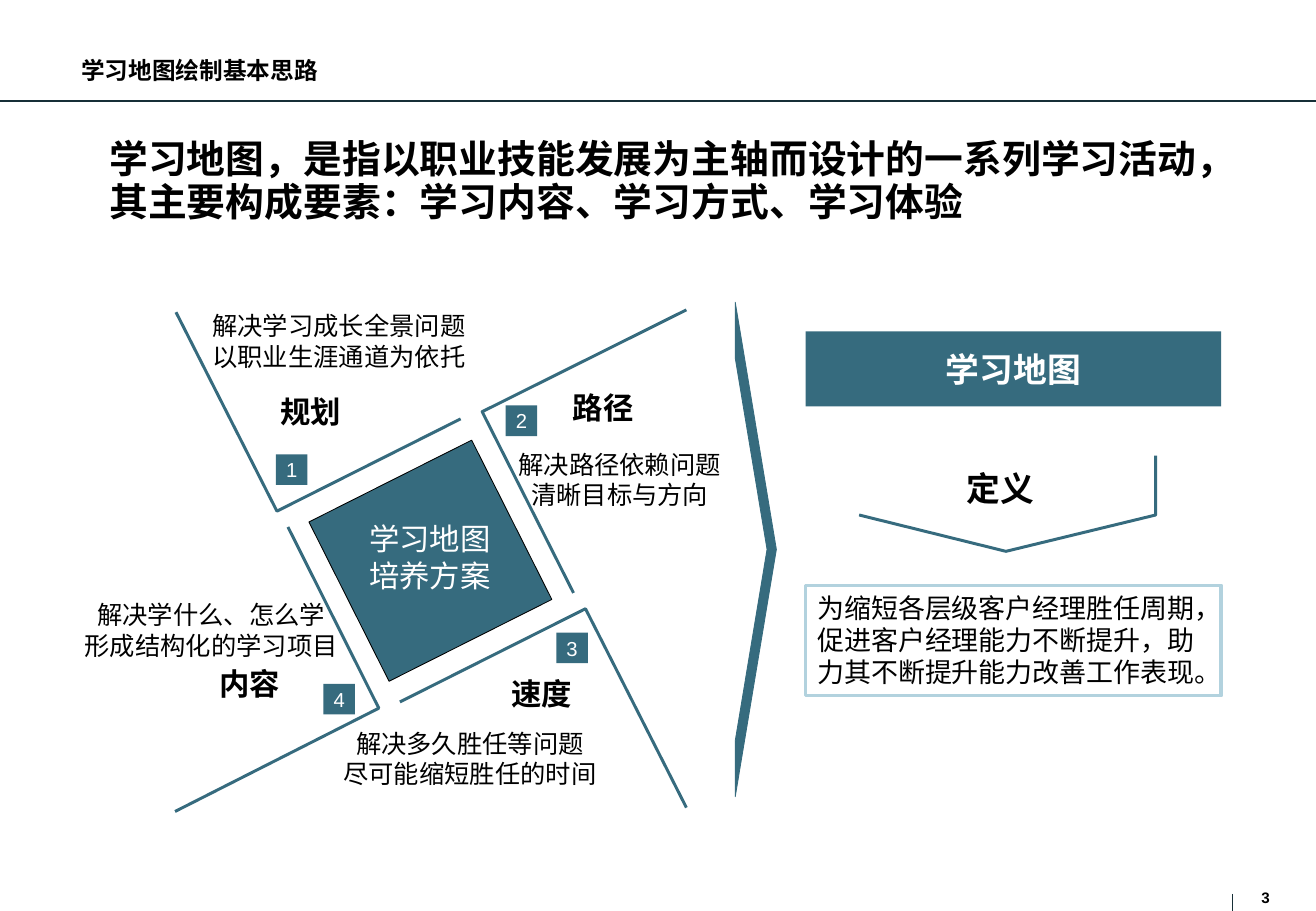
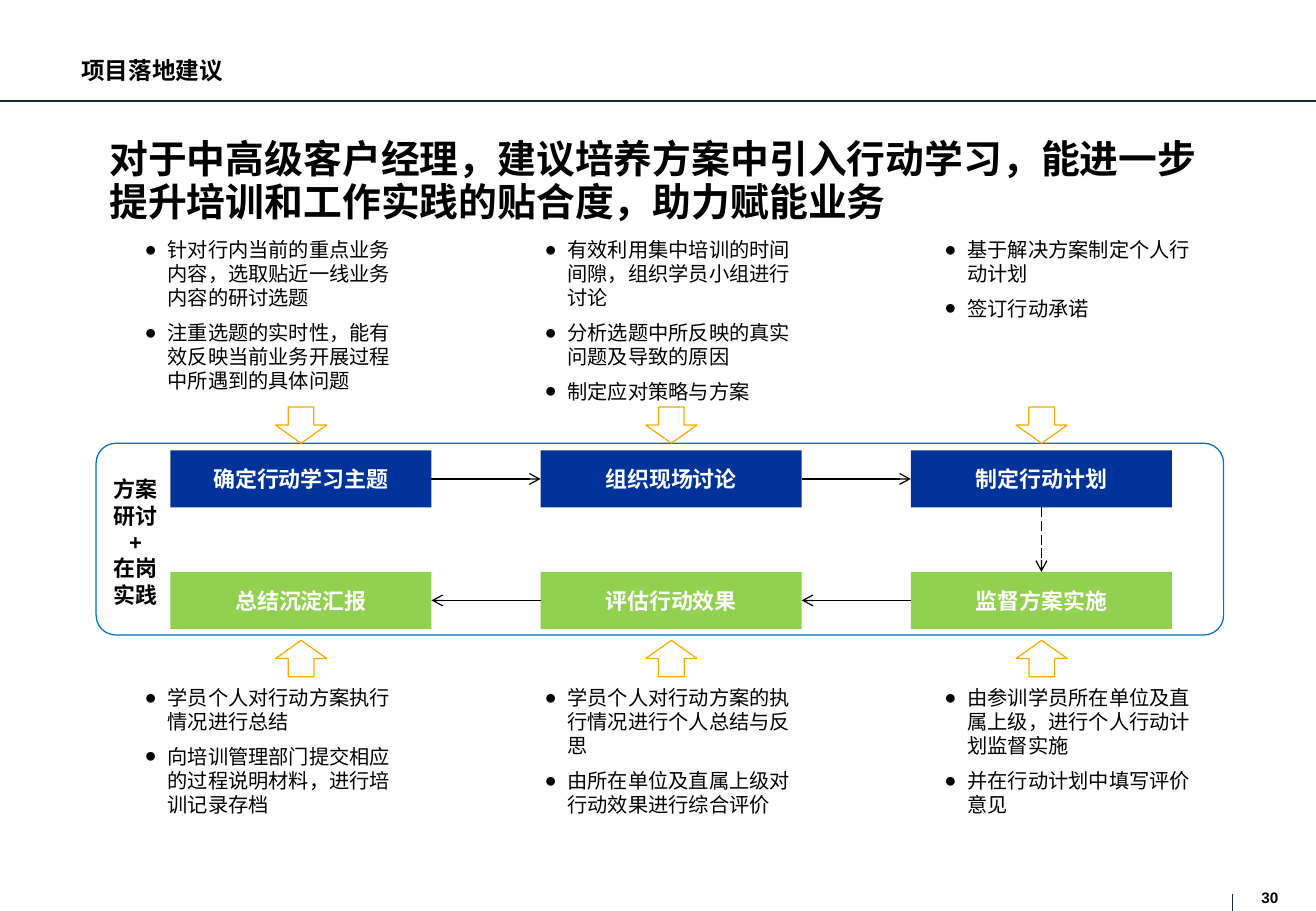
"""Builds two slides on learning maps and how to put them into practice."""
from copy import deepcopy
from dataclasses import dataclass

from lxml import etree
from pptx import Presentation
from pptx.dml.color import RGBColor
from pptx.enum import dml, shapes as kinds, text as txt
from pptx.oxml.ns import qn
from pptx.util import Cm, Pt

SANS, CJK = "Arial", "Noto Sans CJK SC"
BLACK, WHITE, INK = "000000", "FFFFFF", "172F37"
TEAL, PALE, NAVY = "366B7E", "B2D2DE", "00339A"
GREEN, AMBER, BLUE = "92D050", "FFAA00", "0070C0"
LEFT, CENTER = txt.PP_ALIGN.LEFT, txt.PP_ALIGN.CENTER
TOP, MIDDLE = txt.MSO_ANCHOR.TOP, txt.MSO_ANCHOR.MIDDLE
RECT = kinds.MSO_SHAPE.RECTANGLE


@dataclass(frozen=True)
class Box:
    """A place on the slide in centimetres."""
    left: float
    top: float
    width: float
    height: float

    def emu(self) -> tuple:
        """Return the four lengths for python-pptx."""
        return Cm(self.left), Cm(self.top), Cm(self.width), Cm(self.height)


@dataclass(frozen=True)
class Style:
    """How a block of text looks."""
    size: float
    bold: bool = False
    color: str = BLACK
    font: str = SANS
    align: int = LEFT
    anchor: int = MIDDLE
    padded: bool = False
    leading: float = 1.2
    bullet: bool = False


@dataclass(frozen=True)
class Element:
    """One arm of the pinwheel with its number, heading and caption."""
    heading: str
    caption: tuple
    heading_at: tuple
    caption_box: Box
    badge_at: tuple
    arm: tuple


@dataclass(frozen=True)
class Step:
    """One step of the process with its remarks."""
    label: str
    remarks: tuple


@dataclass(frozen=True)
class Row:
    """One row of steps."""
    steps: tuple
    fill: str
    top: float
    arrow_top: float
    remarks_top: float
    turn: int


TITLE = Style(23, True, font=CJK, anchor=TOP, padded=True, leading=1.11)
TOPIC = Style(14, True, font=CJK, padded=True)
PAGE = Style(9, True, anchor=TOP)
CAPTION = Style(15, align=CENTER)
HEADING = Style(18, True, align=CENTER)
BADGE = Style(12, color=WHITE, align=CENTER)
CORE = Style(18, color=WHITE, font=CJK, align=CENTER)
BANNER = Style(20, True, WHITE, CJK, CENTER)
DEFINITION = Style(20, True, anchor=TOP, padded=True)
MEANING = Style(16, anchor=TOP, padded=True)
STEP = Style(13, True, WHITE, align=CENTER)
SIDE = Style(13, True, align=CENTER, anchor=TOP, padded=True)
REMARKS = Style(12, anchor=TOP, padded=True, bullet=True)

ELEMENTS = (
    Element("规划", ("解决学习成长全景问题", "以职业生涯通道为依托"), (5.84, 8.23),
            Box(4.42, 6.48, 5.33, 1.3), (5.77, 9.5),
            ((9.63, 8.76), (5.79, 10.69), (3.68, 6.53))),
    Element("路径", ("解决路径依赖问题", "清晰目标与方向"), (11.96, 8.13),
            Box(10.82, 9.37, 4.27, 1.3), (10.57, 8.48),
            ((14.35, 6.48), (10.08, 8.61), (11.99, 12.4))),
    Element("速度", ("解决多久胜任等问题", "尽可能缩短胜任的时间"), (10.67, 14.12),
            Box(7.16, 15.21, 5.33, 1.3), (11.63, 13.23),
            ((14.35, 16.89), (12.24, 12.73), (8.36, 14.68))),
    Element("内容", ("解决学什么、怎么学", "形成结构化的学习项目"), (4.57, 13.92),
            Box(1.75, 12.52, 5.33, 1.3), (6.76, 14.3),
            ((3.66, 16.97), (7.92, 14.81), (6.02, 11.02))),
)
ROWS = (
    Row((
        Step("确定行动学习主题", ("针对行内当前的重点业务内容，选取贴近一线业务内容的研讨选题",
                          "注重选题的实时性，能有效反映当前业务开展过程中所遇到的具体问题")),
        Step("组织现场讨论", ("有效利用集中培训的时间间隙，组织学员小组进行讨论",
                        "分析选题中所反映的真实问题及导致的原因", "制定应对策略与方案")),
        Step("制定行动计划", ("基于解决方案制定个人行动计划", "签订行动承诺")),
    ), NAVY, 9.42, 8.51, 4.83, 0),
    Row((
        Step("总结沉淀汇报", ("学员个人对行动方案执行情况进行总结",
                        "向培训管理部门提交相应的过程说明材料，进行培训记录存档")),
        Step("评估行动效果", ("学员个人对行动方案的执行情况进行个人总结与反思",
                        "由所在单位及直属上级对行动效果进行综合评价")),
        Step("监督方案实施", ("由参训学员所在单位及直属上级，进行个人行动计划监督实施",
                        "并在行动计划中填写评价意见")),
    ), GREEN, 11.96, 13.39, 14.2, 180),
)


def rgb(value: str) -> RGBColor:
    """Turn a hex string into a colour."""
    return RGBColor.from_string(value)


def write(shape, lines: tuple, style: Style) -> None:
    """Fill a shape with one styled paragraph per line."""
    frame = shape.text_frame
    frame.word_wrap = True
    frame.auto_size = txt.MSO_AUTO_SIZE.NONE
    frame.vertical_anchor = style.anchor
    if not style.padded:
        frame.margin_left = frame.margin_top = frame.margin_right = frame.margin_bottom = 0
    for number, line in enumerate(lines):
        para = frame.add_paragraph() if number else frame.paragraphs[0]
        para.text = line
        para.alignment = style.align
        para.line_spacing = Pt(round(style.size * style.leading, 1))
        para.space_before = Pt(0)
        if style.bullet:
            para.space_after = Pt(6)
            props = para._p.get_or_add_pPr()
            props.set("marL", str(Cm(0.48)))
            props.set("indent", str(-Cm(0.48)))
            etree.SubElement(props, qn("a:buFont")).set("typeface", SANS)
            etree.SubElement(props, qn("a:buChar")).set("char", "●")
        font = para.font
        font.size, font.bold, font.name = Pt(style.size), style.bold, style.font
        font.color.rgb = rgb(style.color)
        etree.SubElement(font._element, qn("a:ea")).set("typeface", CJK)


def label(slide, box: Box, lines: tuple, style: Style) -> None:
    """Add a text box."""
    write(slide.shapes.add_textbox(*box.emu()), lines, style)


def fill_placeholder(holder, box: Box, lines: tuple, style: Style) -> None:
    """Move a placeholder and write into it."""
    holder.left, holder.top, holder.width, holder.height = box.emu()
    write(holder, lines, style)


def paint(shape, fill: str = "", line: str = "", weight: float = 0.75) -> None:
    """Set fill and outline, leaving out whichever is empty."""
    shape.shadow.inherit = False
    if fill:
        shape.fill.solid()
        shape.fill.fore_color.rgb = rgb(fill)
    else:
        shape.fill.background()
    if line:
        shape.line.color.rgb = rgb(line)
        shape.line.width = Pt(weight)
    else:
        shape.line.fill.background()


def draw(slide, kind: int, box: Box, fill: str = "", line: str = "", weight: float = 0.75):
    """Add a painted preset shape."""
    shape = slide.shapes.add_shape(kind, *box.emu())
    paint(shape, fill, line, weight)
    return shape


def outline(slide, points: tuple) -> None:
    """Draw an open teal line through the points."""
    first, *rest = [(Cm(x), Cm(y)) for x, y in points]
    builder = slide.shapes.build_freeform(*first)
    builder.add_line_segments(rest, close=False)
    paint(builder.convert_to_shape(), line=TEAL, weight=1.75)


def rule(slide, start: tuple, end: tuple, color: str):
    """Add a thin straight line."""
    line = slide.shapes.add_connector(kinds.MSO_CONNECTOR.STRAIGHT,
                                      *(Cm(value) for value in start + end))
    line.line.color.rgb = rgb(color)
    line.line.width = Pt(0.75)
    etree.SubElement(line._element.spPr, qn("a:effectLst"))
    return line


def link(slide, source, source_side: int, target, target_side: int, dashed: bool = False) -> None:
    """Join two steps with an arrow."""
    arrow = rule(slide, (0, 0), (1, 1), BLACK)
    arrow.begin_connect(source, source_side)
    arrow.end_connect(target, target_side)
    if dashed:
        arrow.line.dash_style = dml.MSO_LINE.LONG_DASH
    etree.SubElement(arrow.line._get_or_add_ln(), qn("a:tailEnd")).set("type", "arrow")


def start_slide(deck, layout, topic: str, title: str, page: str):
    """Add a slide with the shared rules, topic, title and page number."""
    slide = deck.slides.add_slide(layout)
    rule(slide, (0, 2.11), (27.51, 2.11), INK)
    rule(slide, (25.76, 18.69), (25.76, 19.05), INK)
    label(slide, Box(26.37, 18.57, 0.5, 0.36), (page,), PAGE)
    label(slide, Box(1.45, 1.07, 6.96, 0.81), (topic,), TOPIC)
    fill_placeholder(slide.shapes.title, Box(2.03, 2.77, 23.72, 1.83), (title,), TITLE)
    return slide


def list_layout(deck, count: int):
    """Give the content layout as many body placeholders as there are lists."""
    layout = deck.slide_layouts[1]
    body = layout.placeholders[1]._element
    for number in range(20, 19 + count):
        extra = deepcopy(body)
        extra.find(".//" + qn("p:cNvPr")).set("id", str(number))
        extra.find(".//" + qn("p:ph")).set("idx", str(number))
        body.getparent().append(extra)
    return layout


def map_slide(deck) -> None:
    """Build the pinwheel and the definition."""
    slide = start_slide(deck, deck.slide_layouts[5], "学习地图绘制基本思路",
                        "学习地图，是指以职业技能发展为主轴而设计的一系列学习活动，"
                        "其主要构成要素：学习内容、学习方式、学习体验", "3")
    core = draw(slide, RECT, Box(7.09, 9.86, 3.81, 3.73), TEAL, BLACK, 0.5)
    core.rotation = 153.3
    label(slide, Box(7.7, 10.87, 2.57, 1.55), ("学习地图", "培养方案"), CORE)
    for number, element in enumerate(ELEMENTS, 1):
        outline(slide, element.arm)
        badge = draw(slide, RECT, Box(*element.badge_at, 0.66, 0.64), TEAL)
        write(badge, (str(number),), BADGE)
        label(slide, Box(*element.heading_at, 1.3, 0.76), (element.heading,), HEADING)
        label(slide, element.caption_box, element.caption, CAPTION)
    chevron = draw(slide, kinds.MSO_SHAPE.NOTCHED_RIGHT_ARROW,
                   Box(15.37, 6.32, 0.86, 10.34), TEAL, TEAL, 0.5)
    chevron.adjustments[0], chevron.adjustments[1] = 0.775, 1
    write(draw(slide, RECT, Box(16.84, 6.93, 8.69, 1.57), TEAL), ("学习地图",), BANNER)
    outline(slide, ((24.16, 9.53), (24.16, 10.77), (21.03, 11.53), (17.96, 10.77)))
    label(slide, Box(19.96, 9.65, 1.96, 1.12), ("定义",), DEFINITION)
    meaning = draw(slide, RECT, Box(16.84, 12.24, 8.69, 2.31), WHITE, PALE, 2)
    write(meaning, ("为缩短各层级客户经理胜任周期，促进客户经理能力不断提升，"
                    "助力其不断提升能力改善工作表现。",), MEANING)


def practice_slide(deck) -> None:
    """Build the two rows of steps with their remarks."""
    slide = start_slide(deck, list_layout(deck, sum(len(row.steps) for row in ROWS)), "项目落地建议",
                        "对于中高级客户经理，建议培养方案中引入行动学习，"
                        "能进一步提升培训和工作实践的贴合度，助力赋能业务", "30")
    frame = draw(slide, kinds.MSO_SHAPE.ROUNDED_RECTANGLE,
                 Box(2.01, 9.27, 23.57, 4.01), line=BLUE)
    frame.adjustments[0] = 0.103
    label(slide, Box(1.96, 9.83, 1.75, 3.02), ("方案研讨", "+", "在岗实践"), SIDE)
    bodies = iter(list(slide.placeholders)[1:])
    grid = []
    for row in ROWS:
        boxes = []
        for column, step in enumerate(row.steps):
            left = 3.56 + 7.74 * column
            box = draw(slide, RECT, Box(left, row.top, 5.46, 1.19), row.fill)
            write(box, (step.label,), STEP)
            boxes.append(box)
            pointer = draw(slide, kinds.MSO_SHAPE.DOWN_ARROW,
                           Box(left + 2.2, row.arrow_top, 1.07, 0.76), line=AMBER)
            pointer.rotation = row.turn
            fill_placeholder(next(bodies), Box(2.77 + 8.36 * column, row.remarks_top, 5.89, 4),
                             step.remarks, REMARKS)
        grid.append(boxes)
    plan, review = grid
    for source, target in zip(plan, plan[1:]):
        link(slide, source, 3, target, 1)
    link(slide, plan[-1], 2, review[-1], 0, dashed=True)
    for target, source in zip(review, review[1:]):
        link(slide, source, 1, target, 3)


def main() -> None:
    """Build and save the deck."""
    deck = Presentation()
    deck.slide_width, deck.slide_height = Cm(27.51), Cm(19.05)
    map_slide(deck)
    practice_slide(deck)
    deck.save("out.pptx")


if __name__ == "__main__":
    main()
